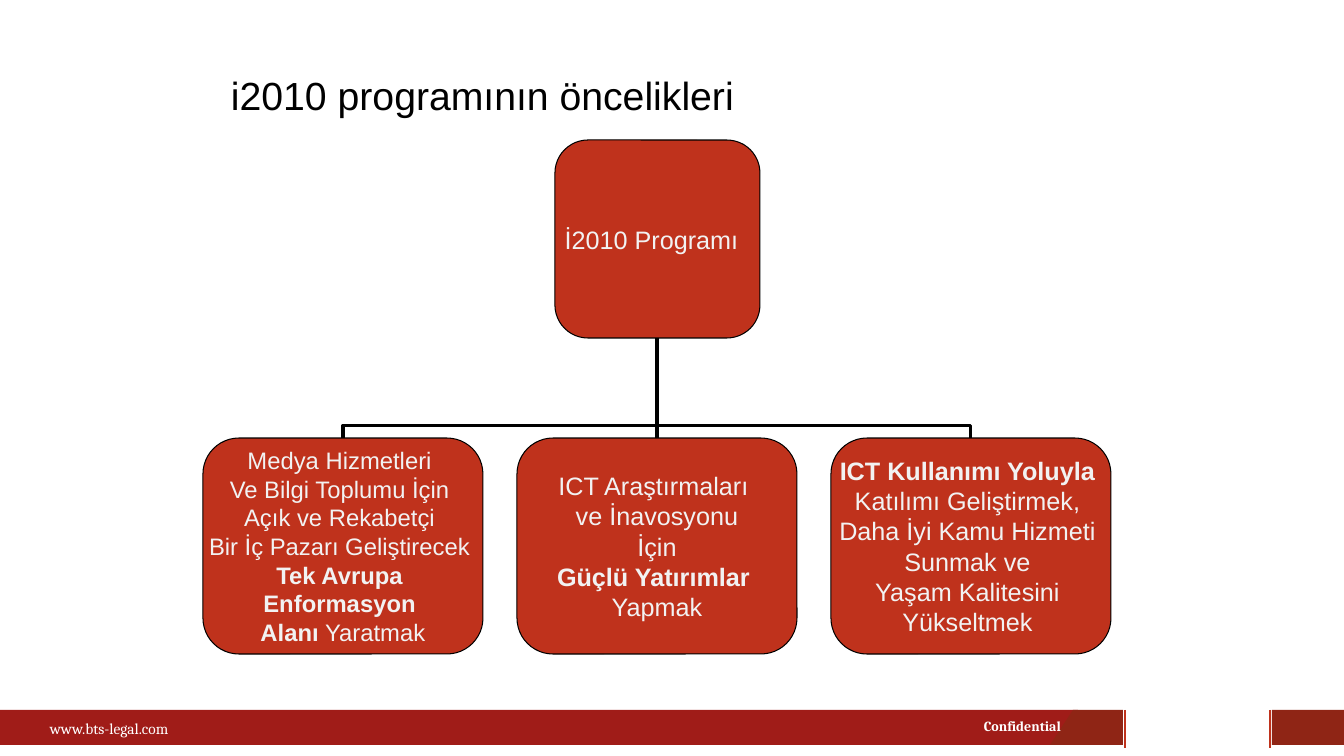
from lxml.etree import SubElement
from pptx import Presentation
from pptx.dml.color import RGBColor
from pptx.enum.shapes import MSO_CONNECTOR, MSO_SHAPE
from pptx.enum.text import MSO_ANCHOR, PP_ALIGN
from pptx.oxml.ns import qn
from pptx.util import Pt

PX = 914400 / 100.8
RED = RGBColor(0xBF, 0x32, 0x1C)
BAND = RGBColor(0xA0, 0x1C, 0x18)
DARK = RGBColor(0x8F, 0x25, 0x15)
PALE = RGBColor(0xF2, 0xF2, 0xF2)
WHITE = RGBColor(0xFF, 0xFF, 0xFF)
BLACK = RGBColor(0, 0, 0)


def px(*sizes):
    return [round(size * PX) for size in sizes]


def write(frame, lines, size, face, color, align=PP_ALIGN.LEFT):
    for i, line in enumerate(lines):
        para = frame.paragraphs[0] if i == 0 else frame.add_paragraph()
        para.alignment = align
        para.font.size = Pt(size)
        para.font.name = face
        para.font.color.rgb = color
        parts = line.split("*")
        for j, part in enumerate(parts):
            if part:
                run = para.add_run()
                run.text = part
                if len(parts) > 1:
                    run.font.bold = j % 2 == 1


deck = Presentation()
deck.slide_width, deck.slide_height = px(1344, 756)
slide = deck.slides.add_slide(deck.slide_layouts[6])
shapes = slide.shapes

band = shapes.add_shape(MSO_SHAPE.RECTANGLE, *px(0, 710, 1078, 35))
pen = shapes.build_freeform(*px(1073, 710), scale=1.0)
pen.add_line_segments([px(*spot) for spot in [(1123, 710), (1123, 745), (1050, 745)]])
slant = pen.convert_to_shape()
block = shapes.add_shape(MSO_SHAPE.RECTANGLE, *px(1272, 710, 72, 35))
for shape, color in [(band, BAND), (slant, DARK), (block, DARK)]:
    shape.shadow.inherit = False
    shape.fill.solid()
    shape.fill.fore_color.rgb = color
    shape.line.fill.background()

links = []
for x in (1125, 1270):
    rule = shapes.add_connector(MSO_CONNECTOR.STRAIGHT, *px(x, 710, x, 748))
    links.append((rule, RED, 1))

site = shapes.add_textbox(*px(40, 711, 260, 34)).text_frame
site.word_wrap = True
site.vertical_anchor = MSO_ANCHOR.MIDDLE
write(site, ["www.bts-legal.com"], 11, "Cambria", WHITE)
label = shapes.add_textbox(*px(974, 713, 111, 27)).text_frame
label.word_wrap = False
write(label, ["*Confidential*"], 10, "Cambria", WHITE)

ROOT, FOOT, TOP, STEP = 657, 338, 438, 314
gap = TOP - FOOT
for side in (1, 0, -1):
    mid = ROOT + side * STEP / 2
    half = abs(side) * STEP / 2
    level = (FOOT + TOP) / 2
    reach = gap / 2 if side > 0 else -gap / 2
    elbow = shapes.add_connector(
        MSO_CONNECTOR.ELBOW, *px(mid + reach, level - half, mid - reach, level + half))
    elbow.rotation = 90 if side > 0 else 270
    guides = elbow._element.spPr.find(qn("a:prstGeom")).find(qn("a:avLst"))
    SubElement(guides, qn("a:gd"), name="adj1", fmla="val 12700")
    links.append((elbow, BLACK, 2.25))

for link, color, width in links:
    link.line.color.rgb = color
    link.line.width = Pt(width)
    SubElement(link._element.spPr, qn("a:effectLst"))

media = [
    "Medya Hizmetleri ", "Ve Bilgi Toplumu İçin ", "Açık ve Rekabetçi ",
    "Bir İç Pazarı Geliştirecek ", "*Tek Avrupa *", "*Enformasyon *",
    "*Alanı* Yaratmak",
]
funds = [
    "ICT Araştırmaları ", "ve İnavosyonu", " İçin ",
    "*Güçlü Yatırımlar *", "Yapmak",
]
usage = [
    "*ICT Kullanımı Yoluyla *", "Katılımı Geliştirmek, ",
    "Daha İyi Kamu Hizmeti ", "Sunmak ve ", "Yaşam Kalitesini ", "Yükseltmek ",
]
boxes = [((555, 140, 205, 198), ["İ2010 Programı"], 18, PP_ALIGN.LEFT)]
for i, (lines, size) in enumerate([(media, 17), (funds, 18), (usage, 18)]):
    boxes.append(((203 + i * STEP, TOP, 280, 216), lines, size, PP_ALIGN.CENTER))

for place, lines, size, align in boxes:
    box = shapes.add_shape(MSO_SHAPE.ROUNDED_RECTANGLE, *px(*place))
    box.shadow.inherit = False
    box.fill.solid()
    box.fill.fore_color.rgb = RED
    box.line.color.rgb = BLACK
    box.line.width = Pt(0.75)
    frame = box.text_frame
    frame.word_wrap = False
    frame.vertical_anchor = MSO_ANCHOR.MIDDLE
    frame.margin_left = frame.margin_right = frame.margin_top = frame.margin_bottom = 0
    write(frame, lines, size, "Arial", PALE, align)

title = shapes.add_textbox(*px(231, 71, 971, 84)).text_frame
title.word_wrap = True
title.margin_left = title.margin_right = title.margin_top = title.margin_bottom = 0
write(title, ["i2010 programının öncelikleri"], 28, "Arial", BLACK)

deck.save("out.pptx")
